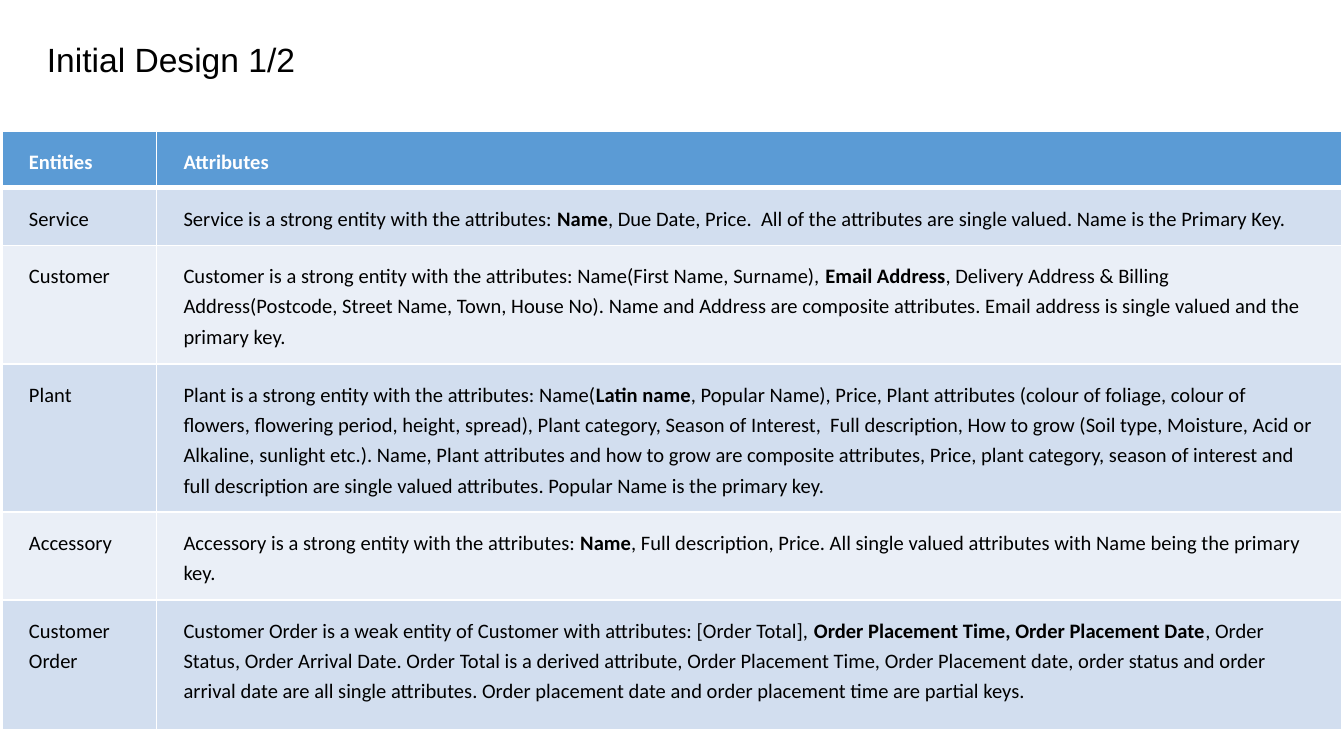
from lxml.etree import SubElement
from pptx import Presentation
from pptx.dml.color import RGBColor
from pptx.oxml.ns import qn
from pptx.util import Pt

WHITE = RGBColor(0xFF, 0xFF, 0xFF)
BLACK = RGBColor(0x00, 0x00, 0x00)
HEADER_BLUE = RGBColor(0x5B, 0x9B, 0xD5)
BAND_DARK = RGBColor(0xD2, 0xDE, 0xEF)
BAND_LIGHT = RGBColor(0xEA, 0xEF, 0xF7)

COLUMN_WIDTHS = [82.8, 635]
ROW_HEIGHTS = [30.5, 30.8, 63.5, 79.3, 47.1, 69.5]

# Each row: entity, then the attribute text as plain, bold, plain
ROWS = [
    ("Entities", ["", "Attributes"]),
    ("Service", [
        "Service is a strong entity with the attributes: ",
        "Name",
        ", Due Date, Price.  All of the attributes are single valued. "
        "Name is the Primary Key."]),
    ("Customer", [
        "Customer is a strong entity with the attributes: "
        "Name(First Name, Surname),",
        " Email Address",
        ", Delivery Address & Billing Address(Postcode, Street Name, Town, "
        "House No). Name and Address are composite attributes. "
        "Email address is single valued and the primary key."]),
    ("Plant", [
        "Plant is a strong entity with the attributes: Name(",
        "Latin name",
        ", Popular Name), Price, Plant attributes (colour of foliage, colour "
        "of flowers, flowering period, height, spread), Plant category, "
        "Season of Interest,  Full description, How to grow (Soil type, "
        "Moisture, Acid or Alkaline, sunlight etc.). Name, Plant attributes "
        "and how to grow are composite attributes, Price, plant category, "
        "season of interest and full description are single valued "
        "attributes. Popular Name is the primary key."]),
    ("Accessory", [
        "Accessory is a strong entity with the attributes: ",
        "Name",
        ", Full description, Price. All single valued attributes with Name "
        "being the primary key."]),
    ("Customer Order", [
        "Customer Order is a weak entity of Customer with attributes: "
        "[Order Total], ",
        "Order Placement Time, Order Placement Date",
        ", Order Status, Order Arrival Date. Order Total is a derived "
        "attribute, Order Placement Time, Order Placement date, order status "
        "and order arrival date are all single attributes. Order placement "
        "date and order placement time are partial keys."]),
]


def set_borders(cell, widths):
    """Draw white borders; widths maps a side (L, R, T, B) to points."""
    properties = cell._tc.get_or_add_tcPr()
    for position, (side, width) in enumerate(widths.items()):
        line = SubElement(properties, qn(f"a:ln{side}"), w=str(Pt(width)))
        fill = SubElement(line, qn("a:solidFill"))
        SubElement(fill, qn("a:srgbClr"), val=str(WHITE))
        properties.insert(position, line)


presentation = Presentation()
presentation.slide_width = Pt(720)
presentation.slide_height = Pt(405)
slide = presentation.slides.add_slide(presentation.slide_layouts[6])

# Title
title = slide.shapes.add_textbox(Pt(18), Pt(13.7), Pt(671), Pt(45.4))
text_frame = title.text_frame
text_frame.word_wrap = True
text_frame.margin_top = Pt(7.2)
text_frame.text = "Initial Design 1/2"
font = text_frame.paragraphs[0].runs[0].font
font.name, font.size = "Arial", Pt(18)
font.color.rgb = BLACK

# Entity table
table = slide.shapes.add_table(
    len(ROWS), 2, Pt(1.1), Pt(70.2), Pt(sum(COLUMN_WIDTHS)),
    Pt(sum(ROW_HEIGHTS))).table
for column, width in zip(table.columns, COLUMN_WIDTHS):
    column.width = Pt(width)

for row_index, (entity, attributes) in enumerate(ROWS):
    table.rows[row_index].height = Pt(ROW_HEIGHTS[row_index])
    is_header = row_index == 0
    band = BAND_DARK if row_index % 2 else BAND_LIGHT
    for column_index, parts in enumerate([[entity], attributes]):
        cell = table.cell(row_index, column_index)
        cell.fill.solid()
        cell.fill.fore_color.rgb = HEADER_BLUE if is_header else band
        cell.margin_left = cell.margin_top = cell.margin_bottom = Pt(7.2)
        cell.margin_right = Pt(14.4)
        set_borders(cell, {"L": 1, "R": 1, "T": 3 if row_index == 1 else 1,
                           "B": 3 if is_header else 1})

        # Cell text, with the key attributes in bold
        paragraph = cell.text_frame.paragraphs[0]
        paragraph.line_spacing = 1.2
        paragraph._p.get_or_add_pPr().set("marL", str(Pt(7.2)))
        for part_index, part in enumerate(parts):
            if not part:
                continue
            run = paragraph.add_run()
            run.text = part
            run.font.name, run.font.size = "Calibri", Pt(11)
            run.font.bold = is_header or part_index == 1
            run.font.color.rgb = WHITE if is_header else BLACK

presentation.save("out.pptx")
